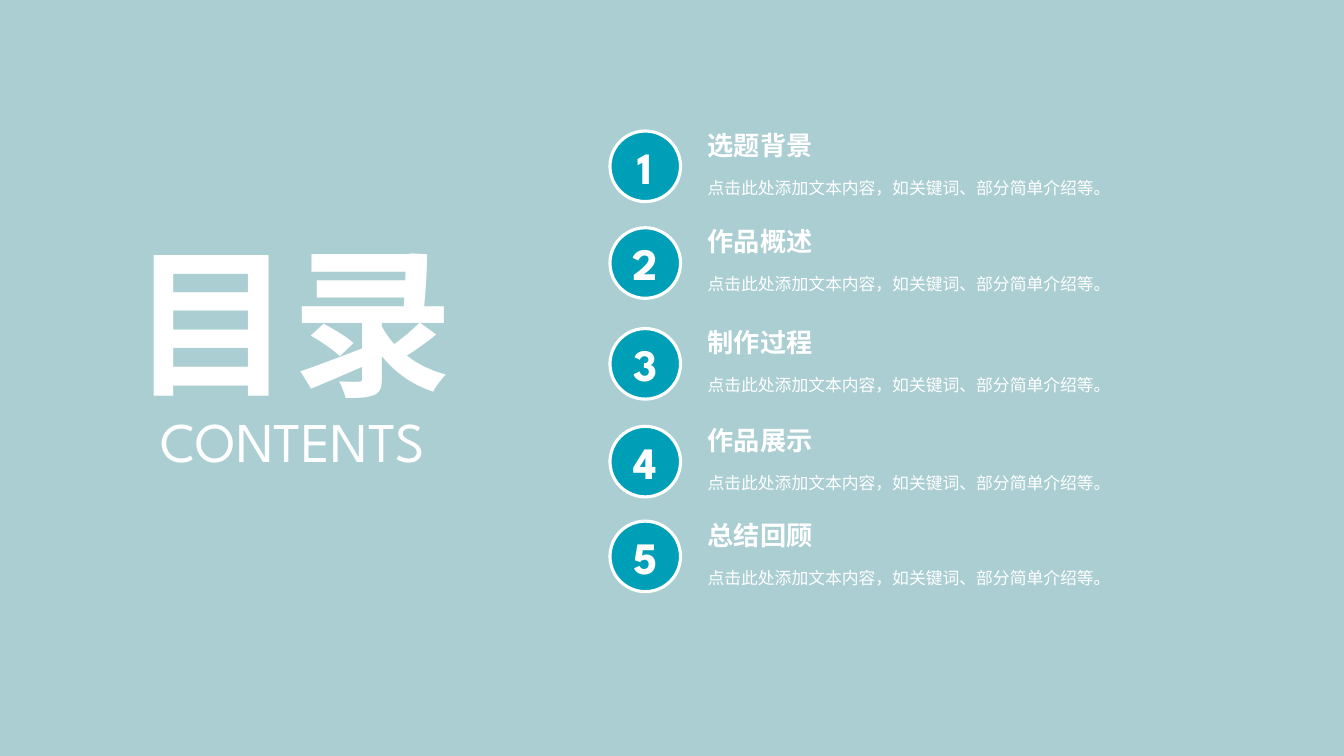
from pptx import Presentation, util as u
from pptx.dml.color import RGBColor
from pptx.enum import shapes, text
from pptx.oxml import ns

In = u.Inches
WHITE = RGBColor(0xFF, 0xFF, 0xFF)
TEAL = RGBColor(0x00, 0x9F, 0xB8)
PALE = RGBColor(0xAA, 0xCE, 0xD2)
SPARTAN, NOTO = "League Spartan", "Noto Sans CJK SC"

HEAD = dict(size=u.Pt(115), bold=True, name=NOTO)
SUB = dict(size=u.Pt(40), name=SPARTAN)
TOPIC = dict(size=u.Pt(18.7), bold=True, name=SPARTAN)
NOTE = dict(size=u.Pt(12), name=SPARTAN)
DIGIT = dict(size=u.Pt(32), bold=True, name=SPARTAN)

HINT = "点击此处添加文本内容，如关键词、部分简单介绍等。"
# Top of each row and its topic
ROWS = [(1.23, "选题背景"), (2.19, "作品概述"), (3.19, "制作过程"),
        (4.16, "作品展示"), (5.1, "总结回顾")]


def write(shape, words, style, align=text.PP_ALIGN.LEFT, gap=1.0,
          wrap=False, anchor=text.MSO_ANCHOR.TOP):
    frame = shape.text_frame
    frame.word_wrap = wrap
    frame.vertical_anchor = anchor
    para = frame.paragraphs[0]
    para.alignment = align
    para.line_spacing = gap
    run = para.add_run()
    run.text = words
    for key, value in style.items():
        setattr(run.font, key, value)
    run.font.color.rgb = WHITE
    # East Asian typeface
    east = run.font._element.makeelement(ns.qn("a:ea"), {"typeface": style["name"]})
    run.font._element.find(ns.qn("a:latin")).addnext(east)


def label(slide, box, words, style, **layout):
    shape = slide.shapes.add_textbox(*map(In, box))
    write(shape, words, style, **layout)
    shape.text_frame.auto_size = text.MSO_AUTO_SIZE.SHAPE_TO_FIT_TEXT


def heading(slide, left, top, width):
    # Main title with its subtitle below
    title = slide.shapes.title
    place = dict(left=left, top=top, width=width, height=2.04)
    for key, value in place.items():
        setattr(title, key, In(value))
    write(title, "目录", HEAD, align=text.PP_ALIGN.CENTER)
    title.text_frame.auto_size = text.MSO_AUTO_SIZE.SHAPE_TO_FIT_TEXT
    label(slide, (left + 0.2, top + 1.82, width - 0.4, 0.77), "CONTENTS", SUB,
          align=text.PP_ALIGN.CENTER)


def entry(slide, left, top, number, topic):
    # Topic and description
    label(slide, (left + 0.87, top, 1.25, 0.42), topic, TOPIC)
    label(slide, (left + 0.87, top + 0.42, 4.23, 0.36), HINT, NOTE,
          gap=1.3, wrap=True)
    # Numbered disc
    disc = slide.shapes.add_shape(shapes.MSO_SHAPE.OVAL, In(left),
                                  In(top + 0.07), In(0.7), In(0.7))
    disc.shadow.inherit = False
    disc.fill.solid()
    disc.fill.fore_color.rgb = TEAL
    disc.line.color.rgb = WHITE
    disc.line.width = u.Pt(2.25)
    write(disc, str(number), DIGIT, align=text.PP_ALIGN.CENTER,
          wrap=True, anchor=text.MSO_ANCHOR.MIDDLE)


def contents(deck):
    slide = deck.slides.add_slide(deck.slide_layouts[5])
    fill = slide.background.fill
    fill.solid()
    fill.fore_color.rgb = PALE
    heading(slide, 1.19, 2.16, 3.43)
    for number, (top, topic) in enumerate(ROWS, 1):
        entry(slide, 6.05, top, number, topic)


def main():
    deck = Presentation()
    deck.slide_width, deck.slide_height = In(13.33), In(7.5)
    contents(deck)
    deck.save("out.pptx")


if __name__ == "__main__":
    main()
